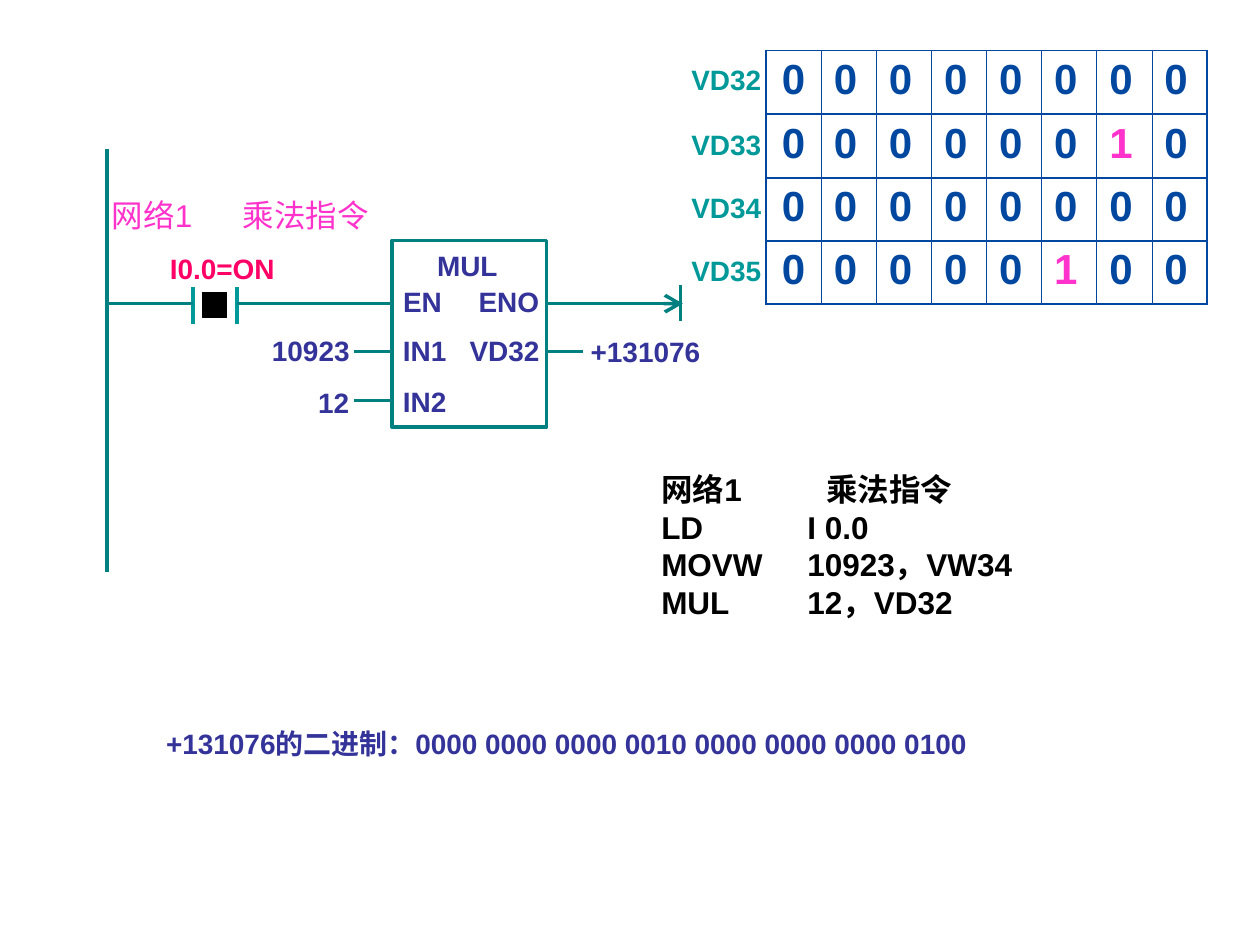
import pptx
import pptx.dml.color
import pptx.enum.shapes
import pptx.enum.text
import pptx.oxml.ns
import pptx.util
from lxml import etree
from pptx.util import Inches

TEAL, CYAN, INDIGO = "008080", "009999", "333399"
BLUE, PINK, RED, BLACK = "0047A0", "FF33CC", "FF0066", "000000"
RIGHT = pptx.enum.text.PP_ALIGN.RIGHT
CENTER = pptx.enum.text.PP_ALIGN.CENTER


def color(value):
    return pptx.dml.color.RGBColor.from_string(value)


def child(parent, tag, **attributes):
    return etree.SubElement(parent, pptx.oxml.ns.qn(tag), **attributes)


class Diagram:
    """Holds the text style and the page, or group, being drawn on."""
    font = "Arial"

    def __init__(self, page):
        self.page = page
        self.shapes = page.shapes

    def style(self, paragraph, size, tint, bold=True, align=None):
        if align is not None:
            paragraph.alignment = align
        paragraph.font.name = self.font
        paragraph.font.size = pptx.util.Pt(size)
        paragraph.font.bold = bold
        paragraph.font.color.rgb = color(tint)

    def text(self, left, top, width, lines, tint=INDIGO, size=16, bold=True,
             align=None, height=0.37, tabs=()):
        box = self.shapes.add_textbox(
            Inches(left), Inches(top), Inches(width), Inches(height))
        frame = box.text_frame
        frame.word_wrap = False
        frame.auto_size = pptx.enum.text.MSO_AUTO_SIZE.SHAPE_TO_FIT_TEXT
        # The loose side has no inset, so a label stays on one line
        if align == RIGHT:
            frame.margin_left = 0
        else:
            frame.margin_right = 0
        frame.text = lines
        for paragraph, tab in zip(frame.paragraphs, tabs):
            tab_list = child(paragraph._p.get_or_add_pPr(), "a:tabLst")
            child(tab_list, "a:tab", pos=str(Inches(tab)), algn="l")
        for paragraph in frame.paragraphs:
            self.style(paragraph, size, tint, bold, align)

    def line(self, start, end, tint=TEAL, arrow=False):
        connector = self.shapes.add_connector(
            pptx.enum.shapes.MSO_CONNECTOR.STRAIGHT,
            *(Inches(value) for value in start + end))
        connector.line.color.rgb = color(tint)
        connector.line.width = pptx.util.Pt(2)
        if arrow:
            child(connector.line._get_or_add_ln(), "a:tailEnd",
                  type="arrow", w="lg", len="lg")
        child(connector._element.spPr, "a:effectLst")

    def rectangle(self, left, top, width, height, tint, weight, fill=None):
        shape = self.shapes.add_shape(
            pptx.enum.shapes.MSO_SHAPE.RECTANGLE,
            Inches(left), Inches(top), Inches(width), Inches(height))
        shape.shadow.inherit = False
        shape.line.color.rgb = color(tint)
        shape.line.width = pptx.util.Pt(weight)
        if fill:
            shape.fill.solid()
            shape.fill.fore_color.rgb = color(fill)
        else:
            shape.fill.background()

    def border(self, cell, side, weight):
        edge = child(cell._tc.get_or_add_tcPr(), f"a:ln{side}",
                     w=str(pptx.util.Pt(weight)))
        child(child(edge, "a:solidFill"), "a:srgbClr", val=BLUE)

    def bits(self, left, top, digits):
        """Draws one byte as a single-row table."""
        table = self.shapes.add_table(
            1, len(digits), Inches(left), Inches(top),
            Inches(3.5), Inches(0.5)).table
        table.first_row = table.horz_banding = False
        last = len(digits) - 1
        for index, digit in enumerate(digits):
            cell = table.cell(0, index)
            cell.text = digit
            self.style(cell.text_frame.paragraphs[0], 24,
                       PINK if digit == "1" else BLUE,
                       align=CENTER if index == 0 else None)
            self.border(cell, "L", 1.08 if index == 0 else 0.45)
            self.border(cell, "R", 1.08 if index == last else 0.45)
            self.border(cell, "T", 1.08)
            self.border(cell, "B", 1.08)
            cell.fill.background()


def main():
    deck = pptx.Presentation()
    deck.slide_width, deck.slide_height = Inches(10), Inches(7.5)
    page = deck.slides.add_slide(deck.slide_layouts[6])
    diagram = Diagram(page)
    rung = 2.41

    # Multiply block with its pins
    diagram.shapes = page.shapes.add_group_shape().shapes
    diagram.rectangle(3.11, 1.91, 1.23, 1.48, TEAL, 2)
    for left, top, width, label in (
            (3.1, 2.21, 0.51, "EN"), (3.7, 2.21, 0.68, "ENO"),
            (3.1, 2.6, 0.54, "IN1"), (3.1, 3, 0.54, "IN2"),
            (3.37, 1.92, 0.68, "MUL")):
        diagram.text(left, top, width, label)
    diagram.text(3.63, 2.6, 0.75, "VD32", align=RIGHT)
    for height in (rung, 2.79, 3.18):
        diagram.line((2.81, height), (3.11, height))
    for height in (rung, 2.79):
        diagram.line((4.34, height), (4.63, height))
    diagram.shapes = page.shapes

    # Power rail, contact and output
    for x in (1.53, 1.88):
        diagram.line((x, 2.28), (x, 2.57), CYAN)
    diagram.line((0.85, 1.18), (0.85, 4.54))
    diagram.line((0.85, rung), (1.53, rung))
    diagram.line((1.88, rung), (2.81, rung))
    diagram.line((4.63, rung), (5.42, rung), arrow=True)
    diagram.line((5.4, 2.26), (5.4, 2.55))
    diagram.rectangle(1.61, 2.32, 0.19, 0.2, BLACK, 0.75, BLACK)

    # Network title and operand values
    diagram.text(0.79, 1.51, 2.23, "网络1\t乘法指令", PINK, 18, bold=False,
                 height=0.4, tabs=[1.04])
    diagram.text(1.25, 1.95, 1.03, "I0.0=ON", RED)
    diagram.text(2.06, 2.6, 0.81, "10923")
    diagram.text(2.43, 3.01, 0.44, "12", align=RIGHT)
    diagram.text(4.59, 2.61, 1.07, "+131076")

    # Memory bytes
    memory = (("VD32", 0.4, "00000000"), ("VD33", 0.91, "00000010"),
              ("VD34", 1.41, "00000000"), ("VD35", 1.91, "00000100"))
    for name, top, digits in memory:
        diagram.text(5.39, top + 0.05, 0.75, name, CYAN, align=RIGHT)
        diagram.bits(6.08, top, digits)

    # Statement list and binary result
    diagram.text(
        5.15, 3.68, 3.1,
        "网络1\t乘法指令\nLD\tI 0.0\nMOVW\t10923，VW34\nMUL\t12，VD32",
        BLACK, 18, height=1.3, tabs=[1.31, 1.16, 1.16, 1.16])
    diagram.text(1.22, 5.72, 6.66,
                 "+131076的二进制：0000 0000 0000 0010 0000 0000 0000 0100")

    deck.save("out.pptx")


if __name__ == "__main__":
    main()
